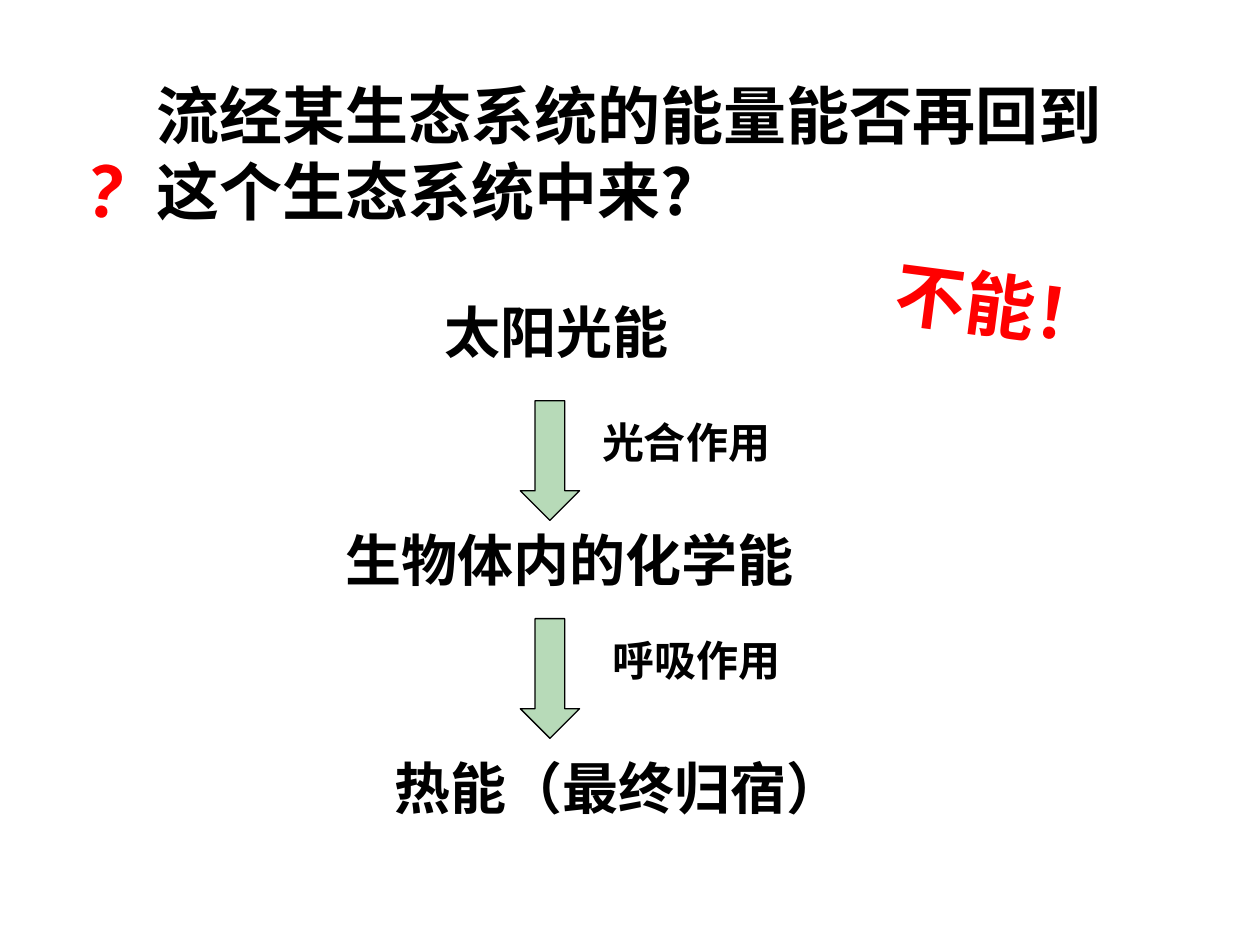
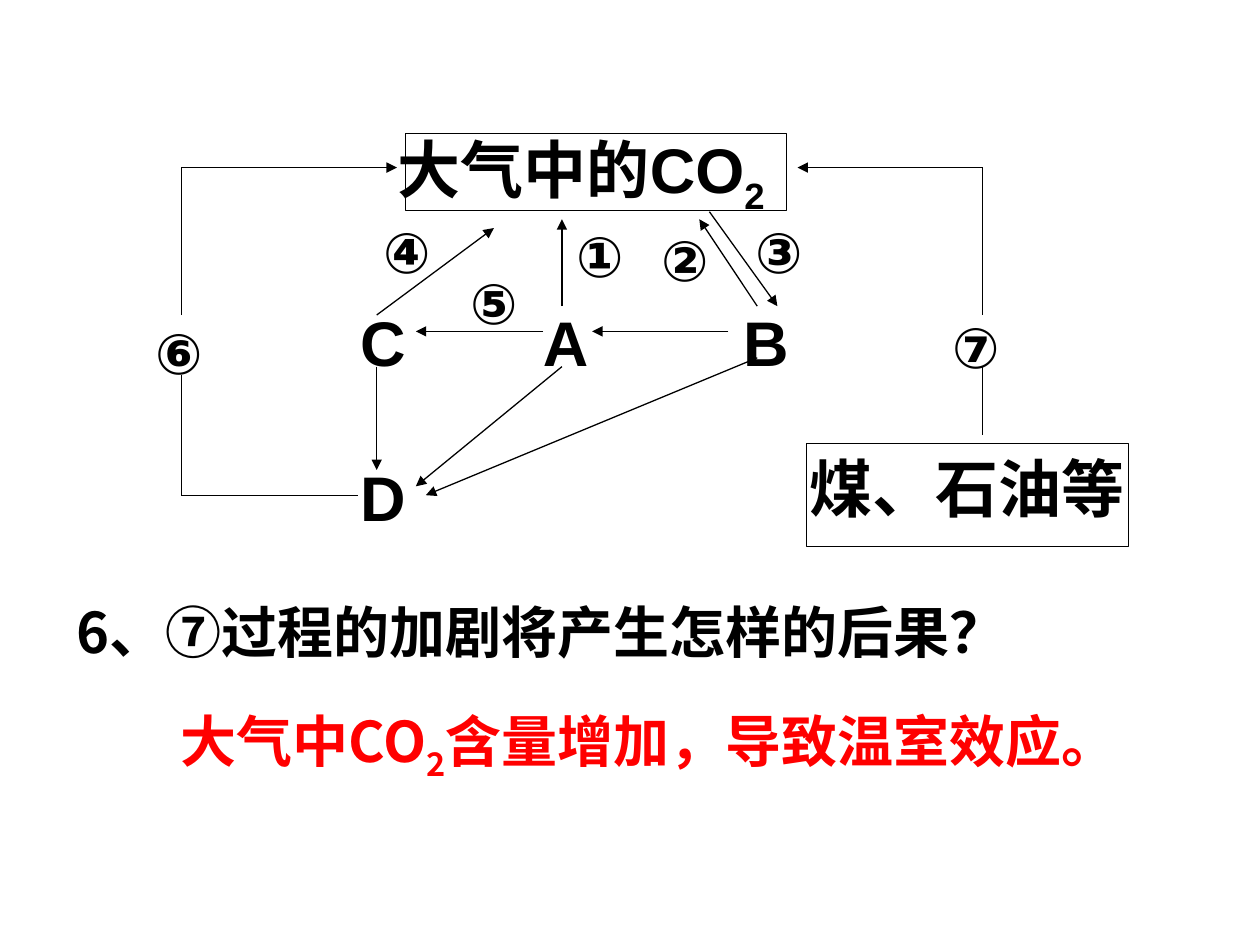
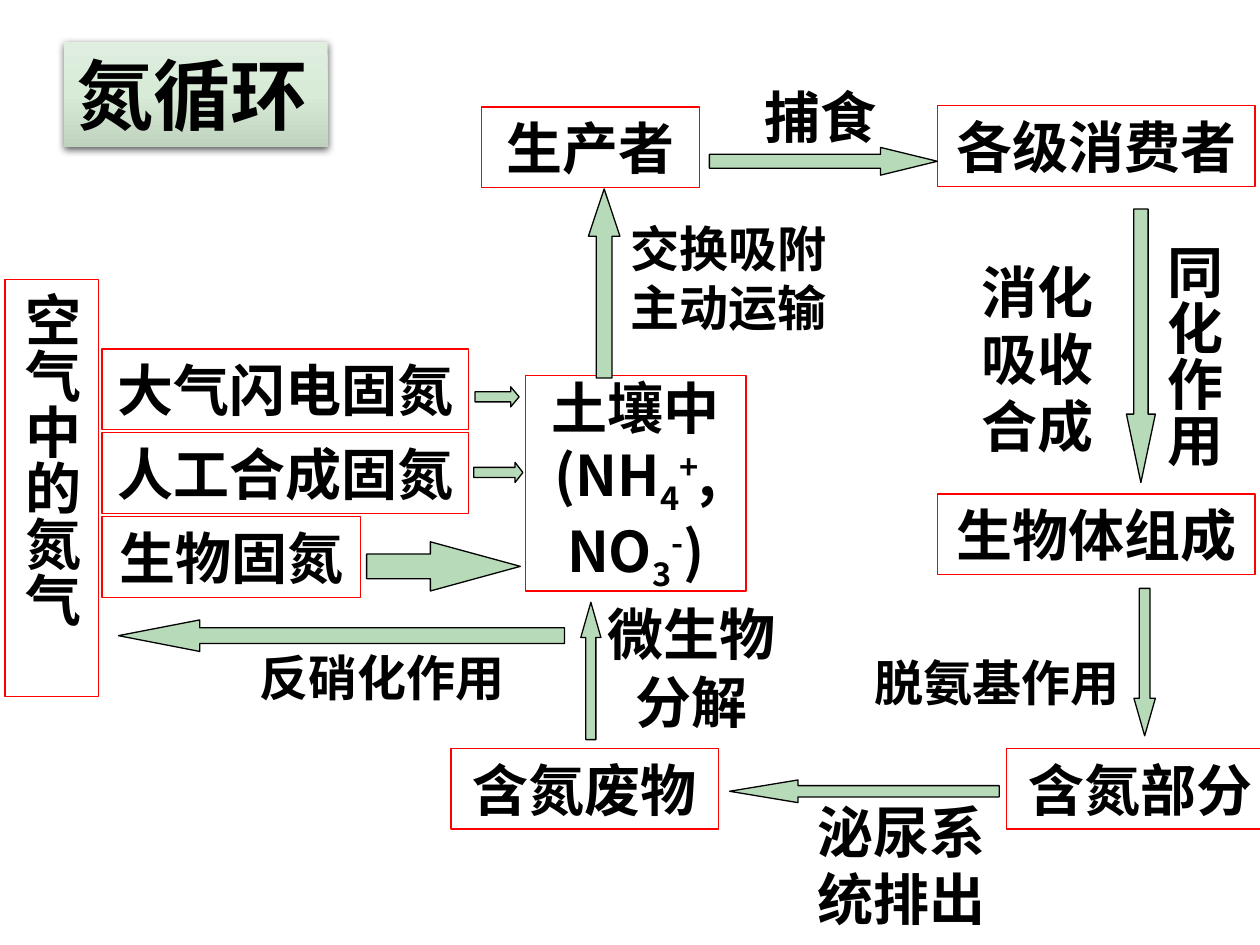
import lxml.etree
import pptx
import pptx.util
import pptx.dml.color
import pptx.enum.shapes
import pptx.enum.text
import pptx.oxml
import pptx.oxml.ns

RGBColor = pptx.dml.color.RGBColor
BLACK = RGBColor(0x00, 0x00, 0x00)
RED = RGBColor(0xFF, 0x00, 0x00)
GREEN = RGBColor(0xB7, 0xDA, 0xB8)
SANS = "Noto Sans CJK SC"
ARIAL = "Arial"

SHAPE = pptx.enum.shapes.MSO_SHAPE
LEFT = pptx.enum.text.PP_ALIGN.LEFT
CENTER = pptx.enum.text.PP_ALIGN.CENTER
TOP = pptx.enum.text.MSO_ANCHOR.TOP
MIDDLE = pptx.enum.text.MSO_ANCHOR.MIDDLE
qn = pptx.oxml.ns.qn

deck = pptx.Presentation()
deck.slide_width = pptx.util.Inches(10)
deck.slide_height = pptx.util.Inches(7.5)
# Every slide is a grid of 100 columns by 75 rows of square cells
CELL = deck.slide_width // 100
TITLE_ONLY, BLANK = deck.slide_layouts[5], deck.slide_layouts[6]


def place(slide, kind, box, fill=None, line=None, head=None):
    """Put a text box (kind None) or a preset shape on the grid."""
    cells = [round(length * CELL) for length in box]
    if kind is None:
        return slide.shapes.add_textbox(*cells)
    shape = slide.shapes.add_shape(kind, *cells)
    shape.shadow.inherit = False
    if fill is None:
        shape.fill.background()
    else:
        shape.fill.solid()
        shape.fill.fore_color.rgb = fill
    shape.line.color.rgb = line
    shape.line.width = pptx.util.Pt(0.75)
    if head is not None:
        shape.adjustments[0] = 0.5
        shape.adjustments[1] = head
    return shape


def write(shape, content, size, color=BLACK, face=SANS, align=LEFT,
          anchor=TOP, wrap=True, vertical=False):
    """Set bold text; content is a string or (text, baseline) pairs."""
    frame = shape.text_frame
    frame.word_wrap = wrap
    frame.auto_size = pptx.enum.text.MSO_AUTO_SIZE.NONE
    frame.vertical_anchor = anchor
    if vertical:
        frame._txBody.bodyPr.set("vert", "eaVert")
    if isinstance(content, str):
        frame.text = content
    else:
        for text, baseline in content:
            run = frame.paragraphs[0].add_run()
            run.text = text
            if baseline:
                run.font._element.set("baseline", str(baseline * 1000))
    for paragraph in frame.paragraphs:
        paragraph.alignment = align
        for run in paragraph.runs:
            run.font.size = pptx.util.Pt(size)
            run.font.bold = True
            run.font.color.rgb = color
            run.font.name = face
            properties = run.font._element
            properties.set("lang", "zh-CN")
            east_asian = lxml.etree.Element(qn("a:ea"), typeface=face)
            properties.find(qn("a:latin")).addnext(east_asian)


# Slide 1: where the energy goes
energy = deck.slides.add_slide(TITLE_ONLY)
question = energy.shapes.title
question.left, question.top, question.width, question.height = [
    round(length * CELL) for length in (11.4, 5.6, 78.2, 13.1)]
write(question, "流经某生态系统的能量能否再回到这个生态系统中来?", 36)

for exclamation, box in [("？", (3.9, 12.4, 11.7, 5.8)),
                         ("不能！", (70.8, 21, 17.2, 6.3))]:
    answer = place(energy, None, box)
    answer.rotation = 7.4
    write(answer, exclamation, 40, RED, align=CENTER, anchor=MIDDLE, wrap=False)

stages = [("太阳光能", 34.3), ("生物体内的化学能", 26.4), ("热能（最终归宿）", 30.3)]
for row, (stage, left) in enumerate(stages):
    write(place(energy, None, (left, 23.1 + 18.1 * row, 44, 6.3)), stage, 32)

for row, (process, left) in enumerate([("光合作用", 46.8), ("呼吸作用", 47.6)]):
    top = 31.8 + 17.3 * row
    place(energy, SHAPE.DOWN_ARROW, (41.3, top, 4.7, 9.5), GREEN, BLACK, 0.5)
    write(place(energy, None, (left, top + 0.8, 26, 5)), process, 24)

# Slide 2: carbon cycle
carbon = deck.slides.add_slide(BLANK)
for frame_box in [(32.2, 10.6, 30.2, 6.1), (64, 35.2, 25.6, 8.2)]:
    place(carbon, SHAPE.RECTANGLE, frame_box, line=BLACK)

pools = [([("大气中的CO", 0), ("2", -25)], 30.6, 9.9, 60),
         ("C", 27.6, 23.6, 8), ("A", 42.1, 23.6, 8), ("B", 58, 23.6, 8),
         ("D", 27.6, 35.9, 8), ("煤、石油等", 63.3, 35.2, 31)]
for pool, left, top, width in pools:
    write(place(carbon, None, (left, top, width, 7)), pool, 36, face=ARIAL)

steps = [("①", 44.4, 17.1), ("②", 51.1, 17.4), ("③", 58.6, 16.8),
         ("④", 29.1, 16.8), ("⑤", 36, 20.8), ("⑥", 11.0, 24.8), ("⑦", 74.2, 24.3)]
for step, left, top in steps:
    write(place(carbon, None, (left, top, 6.5, 6.3)), step, 32,
          face=ARIAL, align=CENTER, wrap=False)

# Flows: from x, from y, to x, to y
arrows = [(29.9, 25, 39.2, 18.1), (44.6, 24.3, 44.6, 17.4),
          (60.1, 24.3, 55.5, 17.4), (56.3, 16.8, 61.7, 24.3),
          (44.6, 29.1, 33, 38.6), (60.1, 28.4, 33.8, 39.3),
          (43.1, 26.3, 33, 26.3), (57.8, 26.3, 47, 26.3),
          (29.9, 29.1, 29.9, 37.3), (14.4, 13.3, 31.5, 13.3),
          (78, 13.3, 63.3, 13.3), (78.8, 36.6, 78.8, 36.6)]
plain_lines = [(28.4, 39.3, 14.4, 39.3), (14.4, 39.3, 14.4, 29.8),
               (14.4, 25, 14.4, 13.3), (78, 13.3, 78, 25), (78, 29.1, 78, 34.5)]
for ends in arrows + plain_lines:
    flow = carbon.shapes.add_connector(
        pptx.enum.shapes.MSO_CONNECTOR.STRAIGHT,
        *[round(length * CELL) for length in ends])
    flow.line.color.rgb = BLACK
    flow.line.width = pptx.util.Pt(0.75)
    if ends in arrows:
        lxml.etree.SubElement(flow.line._get_or_add_ln(), qn("a:tailEnd"),
                              type="triangle")
    lxml.etree.SubElement(flow._element.spPr, qn("a:effectLst"))

write(place(carbon, None, (5.1, 46.9, 91.3, 6.3)),
      "6、⑦过程的加剧将产生怎样的后果？", 32)
write(place(carbon, None, (9.8, 55.6, 83.5, 6.3)),
      [("大气中CO", 0), ("2", -25), ("含量增加，导致温室效应。", 0)],
      32, RED, align=CENTER)

# Slide 3: nitrogen cycle
nitrogen = deck.slides.add_slide(TITLE_ONLY)
heading = nitrogen.shapes.title
heading.left, heading.top, heading.width, heading.height = [
    round(length * CELL) for length in (5.1, 3.3, 20.9, 8.4)]
write(heading, "氮循环", 44)

# Heading gradient and soft shadow
stops = "".join(
    f'<a:gs pos="{share * 1000}"><a:srgbClr val="{tint}"/></a:gs>'
    for share, tint in [(0, "E0EEE0"), (50, "D7EBD7"), (100, "BED2BE")])
DRAWING = pptx.oxml.ns.nsdecls("a")
heading._element.spPr.append(pptx.oxml.parse_xml(
    f'<a:gradFill {DRAWING} rotWithShape="1"><a:gsLst>{stops}</a:gsLst>'
    '<a:lin ang="5400000" scaled="0"/></a:gradFill>'))
heading._element.spPr.append(pptx.oxml.parse_xml(
    f'<a:effectLst {DRAWING}><a:outerShdw blurRad="57150" dist="19050" '
    'dir="5400000" algn="ctr" rotWithShape="0"><a:srgbClr val="000000">'
    '<a:alpha val="63000"/></a:srgbClr></a:outerShdw></a:effectLst>'))

# Red boxes: air, three ways of fixing, soil, organisms and wastes
air = place(nitrogen, SHAPE.RECTANGLE, (0.4, 22.2, 7.4, 33.1), line=RED)
write(air, "空气中的氮气", 32, anchor=MIDDLE, vertical=True)

soil_ions = [("土壤中(NH", 0), ("4", -25), ("+", 30), (",NO", 0),
             ("3", -25), ("-", 30), (")", 0)]
boxes = [(soil_ions, (41.7, 29.8, 17.5, 17.1)),
         ("生产者", (38.2, 8.5, 17.3, 6.4)),
         ("各级消费者", (74.4, 8.4, 25.2, 6.4)),
         ("生物体组成", (74.4, 39.2, 25.2, 6.4)),
         ("含氮部分", (79.9, 59.4, 21.3, 6.4)),
         ("含氮废物", (35.8, 59.4, 21.2, 6.4))]
fixing = [("大气闪电固氮", 29.1), ("人工合成固氮", 29.1), ("生物固氮", 20.5)]
for row, (way, width) in enumerate(fixing):
    boxes.append((way, (8.1, 27.7 + 6.65 * row, width, 6.4)))
for content, box in boxes:
    write(place(nitrogen, SHAPE.RECTANGLE, box, line=RED), content, 32,
          align=CENTER, anchor=MIDDLE)

# Block arrows with the length of their heads
transfers = [(SHAPE.RIGHT_ARROW, (56.3, 11.7, 18.1, 2.2), 2.05),
             (SHAPE.RIGHT_ARROW, (29.1, 43, 12.2, 3.9), 1.83),
             (SHAPE.RIGHT_ARROW, (37.6, 36.7, 3.9, 1.6), 0.39),
             (SHAPE.RIGHT_ARROW, (37.7, 30.7, 3.5, 1.6), 0.42),
             (SHAPE.UP_ARROW, (46.7, 15, 2.5, 15), 1.5),
             (SHAPE.DOWN_ARROW, (89.4, 16.6, 2.3, 21.7), 2.36),
             (SHAPE.DOWN_ARROW, (90, 46.7, 1.7, 11.7), 1.75),
             (SHAPE.LEFT_ARROW, (57.9, 61.9, 21.4, 1.8), 3.02),
             (SHAPE.UP_ARROW, (46.1, 47.8, 1.6, 10.9), 1.75),
             (SHAPE.LEFT_ARROW, (9.4, 49.2, 35.4, 2.5), 2.58)]
for kind, box, head in transfers:
    place(nitrogen, kind, box, GREEN, BLACK, head)

# Process captions
captions = [("交换吸附主动运输", (48.3, 16.8, 19, 10.4), 28, True),
            ("消化\n吸收\n合成", (76.8, 19.8, 11.1, 17.2), 32, False),
            ("脱氨基作用", (68.3, 51.3, 21.7, 5.7), 28, False),
            ("微生物分解", (45.3, 47.1, 19.1, 11.7), 32, True),
            ("泌尿系统排出", (62.5, 62.8, 18.1, 11.7), 32, True),
            ("捕食", (59.6, 6, 11, 6.4), 32, False),
            ("反硝化作用", (18.5, 50.9, 23.6, 5.7), 28, False)]
for caption, box, size, wrap in captions:
    write(place(nitrogen, None, box), caption, size, align=CENTER,
          anchor=MIDDLE, wrap=wrap)
write(place(nitrogen, None, (91, 18.4, 7.4, 19.9)), "同化作用", 32,
      align=CENTER, anchor=MIDDLE, vertical=True)

deck.save("out.pptx")
